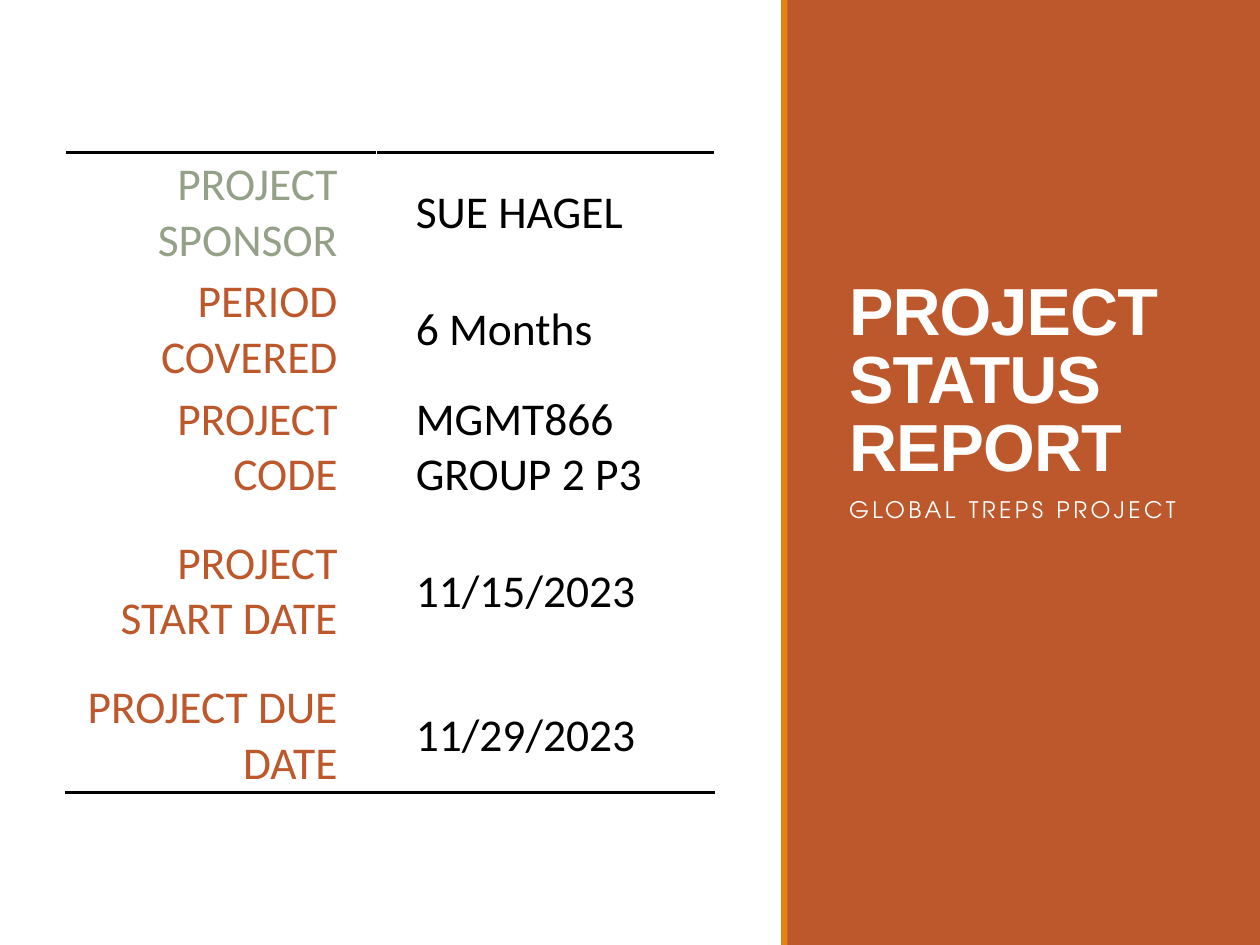
from lxml import etree
from pptx import Presentation
from pptx.dml.color import RGBColor
from pptx.enum import shapes, text
from pptx.oxml import ns
from pptx.util import Inches, Pt

WHITE = RGBColor(0xFF, 0xFF, 0xFF)
BLACK = RGBColor(0, 0, 0)
RUST = RGBColor(0xBD, 0x58, 0x2C)
AMBER = RGBColor(0xE4, 0x83, 0x12)
SAGE = RGBColor(0x94, 0xA0, 0x88)

FACTS = [
    ("PROJECT SPONSOR", "SUE HAGEL"),
    ("PERIOD COVERED", "6 Months"),
    ("PROJECT CODE", "MGMT866 GROUP 2 P3"),
    ("PROJECT START DATE", "11/15/2023"),
    ("PROJECT DUE DATE", "11/29/2023"),
]
COLS = [2.47, 2.68]
ROWS = [0.93, 0.93, 0.93, 1.36, 0.93]


def write(frame, words, *, size, font, color, bold=False, align=None,
          line=None, before=None, after=None, track=None):
    """Put one formatted paragraph in a text frame; track is in points."""
    frame.word_wrap = True
    para = frame.paragraphs[0]
    para.alignment = align
    para.line_spacing = line
    para.space_before = before
    para.space_after = after
    run = para.add_run()
    run.text = words
    run.font.size = Pt(size)
    run.font.name = font
    run.font.bold = bold
    run.font.color.rgb = color
    if track is not None:
        run.font._element.set("spc", str(int(track * 100)))


def add_bar(slide, left, width, color):
    """Add a plain bar of full slide height."""
    bar = slide.shapes.add_shape(shapes.MSO_SHAPE.RECTANGLE, Inches(left), 0,
                                 Inches(width), Inches(7.5))
    bar.shadow.inherit = False
    bar.fill.solid()
    bar.fill.fore_color.rgb = color
    bar.line.fill.background()


def add_label(slide, top, height, words, anchor, **style):
    box = slide.shapes.add_textbox(Inches(6.64), Inches(top), Inches(3), Inches(height))
    box.text_frame.vertical_anchor = anchor
    write(box.text_frame, words, color=WHITE, **style)


def rule_cell(cell, side):
    """Draw a black 2 pt border on side T or B."""
    edge = etree.Element(ns.qn("a:ln" + side), w=str(Pt(2)))
    fill = etree.SubElement(edge, ns.qn("a:solidFill"))
    etree.SubElement(fill, ns.qn("a:srgbClr"), val=str(BLACK))
    cell._tc.get_or_add_tcPr().insert(0, edge)


def fill_cell(cell, words, color, align, left, right):
    cell.fill.solid()
    cell.fill.fore_color.rgb = WHITE
    cell.vertical_anchor = text.MSO_ANCHOR.MIDDLE
    cell.margin_left, cell.margin_right = Inches(left), Inches(right)
    cell.margin_top, cell.margin_bottom = Inches(0.03), 0
    write(cell.text_frame, words, size=26, font="Calibri", color=color, align=align)


def add_facts(slide):
    frame = slide.shapes.add_table(len(ROWS), len(COLS), Inches(0.52), Inches(1.21),
                                   Inches(sum(COLS)), Inches(sum(ROWS)))
    table = frame.table
    table.first_row = table.horz_banding = False
    for col, width in zip(table.columns, COLS):
        col.width = Inches(width)
    for i, (name, value) in enumerate(FACTS):
        table.rows[i].height = Inches(ROWS[i])
        fill_cell(table.cell(i, 0), name, RUST if i else SAGE,
                  text.PP_ALIGN.RIGHT, 0.03, 0.31)
        fill_cell(table.cell(i, 1), value, BLACK, text.PP_ALIGN.LEFT, 0.31, 0.03)
    for j in range(len(COLS)):
        rule_cell(table.cell(0, j), "T")
        rule_cell(table.cell(len(ROWS) - 1, j), "B")


def main():
    deck = Presentation()
    deck.slide_width, deck.slide_height = Inches(10), Inches(7.5)
    slide = deck.slides.add_slide(deck.slide_layouts[6])
    add_bar(slide, 0, 10, WHITE)
    add_bar(slide, 6.24, 3.76, RUST)
    add_label(slide, 0.7, 3.2, "PROJECT STATUS REPORT", text.MSO_ANCHOR.BOTTOM,
              size=38, font="Arial", bold=True, line=0.85, track=-0.5)
    add_label(slide, 3.91, 2.89, "GLOBAL TREPS PROJECT", text.MSO_ANCHOR.TOP,
              size=13, font="TeX Gyre Adventor", line=0.9,
              before=Pt(12), after=Pt(2), track=2)
    add_bar(slide, 6.2, 0.05, AMBER)
    add_facts(slide)
    deck.save("out.pptx")


if __name__ == "__main__":
    main()
